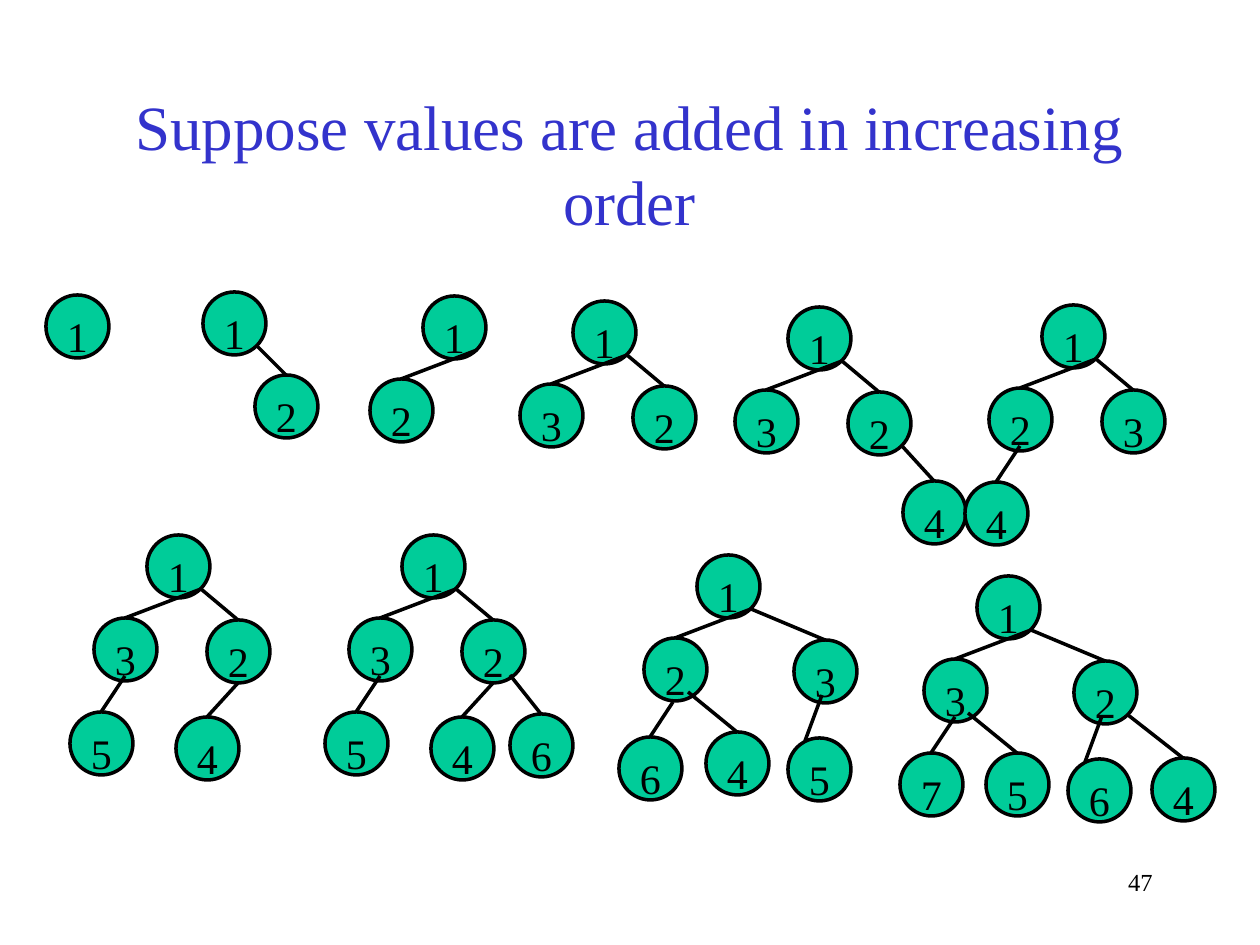
from dataclasses import dataclass

from lxml import etree
from pptx import Presentation
from pptx import util as u
from pptx.dml.color import RGBColor
from pptx.enum import shapes, text
from pptx.oxml import ns

EMU_PER_PX = 914400 / 126
DIAMETER = 63
FONT = "Times New Roman"
BLACK = "000000"
GREEN = "00CC99"
BLUE = "3333CC"

Point = tuple[int, int]


@dataclass(frozen=True)
class Branch:
    shift: Point
    leave: Point = (54, 54)
    arrive: Point = (31, 0)


@dataclass(frozen=True)
class Node:
    value: int
    children: tuple[tuple[Branch, "Node"], ...] = ()


@dataclass(frozen=True)
class Tree:
    corner: Point
    root: Node


LEFT = Branch((-53, 83))
RIGHT = Branch((60, 85))
WIDE_RIGHT = Branch((97, 85))
LONE_RIGHT = Branch((52, 83))
OUTER_LEFT = Branch((-24, 94), (31, 58))
LOW_LEFT = Branch((-25, 99), (29, 64))
INNER_RIGHT = Branch((62, 94), (44, 54))
INNER_LEFT = Branch((-31, 97), (31, 63))
NEAR_LEFT = Branch((-6, 98), (28, 55), (17, 3))
NEAR_RIGHT = Branch((48, 94), (48, 55))
STEEP_RIGHT = Branch((55, 89))
OUTER_RIGHT = Branch((78, 97))

LEFT_FIVE = (LEFT, Node(3, ((OUTER_LEFT, Node(5)),)))
LEFT_FOUR = (INNER_LEFT, Node(4))

TREES = [
    Tree((46, 295), Node(1)),
    Tree((203, 292), Node(1, ((LONE_RIGHT, Node(2)),))),
    Tree((423, 296), Node(1, ((LEFT, Node(2)),))),
    Tree((573, 301), Node(1, ((LEFT, Node(3)), (RIGHT, Node(2))))),
    Tree((788, 307), Node(1, (
        (LEFT, Node(3)),
        (RIGHT, Node(2, ((STEEP_RIGHT, Node(4)),)))))),
    Tree((1042, 305), Node(1, (
        (LEFT, Node(2, ((OUTER_LEFT, Node(4)),))),
        (RIGHT, Node(3))))),
    Tree((147, 535), Node(1, (
        LEFT_FIVE,
        (RIGHT, Node(2, (LEFT_FOUR,)))))),
    Tree((402, 535), Node(1, (
        LEFT_FIVE,
        (RIGHT, Node(2, (LEFT_FOUR, (NEAR_RIGHT, Node(6)))))))),
    Tree((697, 555), Node(1, (
        (LEFT, Node(2, ((LOW_LEFT, Node(6)), (INNER_RIGHT, Node(4))))),
        (WIDE_RIGHT, Node(3, ((NEAR_LEFT, Node(5)),)))))),
    Tree((977, 576), Node(1, (
        (LEFT, Node(3, ((OUTER_LEFT, Node(7)), (INNER_RIGHT, Node(5))))),
        (WIDE_RIGHT, Node(2, ((NEAR_LEFT, Node(6)), (OUTER_RIGHT, Node(4)))))))),
]


def px(length: int) -> u.Emu:
    return u.Emu(round(length * EMU_PER_PX))


def color(value: str) -> RGBColor:
    return RGBColor.from_string(value)


def add(start: Point, shift: Point) -> Point:
    return start[0] + shift[0], start[1] + shift[1]


def write(frame, words: str, size: int, hue: str, align) -> None:
    frame.text = words
    para = frame.paragraphs[0]
    para.alignment = align
    para.font.name = FONT
    para.font.size = u.Pt(size)
    para.font.color.rgb = color(hue)


def draw_circle(page, corner: Point, value: int) -> None:
    circle = page.shapes.add_shape(
        shapes.MSO_SHAPE.OVAL, px(corner[0]), px(corner[1]), px(DIAMETER), px(DIAMETER))
    circle.shadow.inherit = False
    circle.fill.solid()
    circle.fill.fore_color.rgb = color(GREEN)
    circle.line.color.rgb = color(BLACK)
    circle.line.width = u.Pt(2)
    frame = circle.text_frame
    frame.word_wrap = False
    frame.vertical_anchor = text.MSO_ANCHOR.TOP
    write(frame, str(value), 24, BLACK, text.PP_ALIGN.CENTER)


def draw_edge(page, start: Point, end: Point) -> None:
    edge = page.shapes.add_connector(
        shapes.MSO_CONNECTOR.STRAIGHT, *(px(length) for length in start + end))
    edge.line.color.rgb = color(BLACK)
    edge.line.width = u.Pt(2)
    etree.SubElement(edge._element.spPr, ns.qn("a:effectLst"))


def draw_node(page, node: Node, corner: Point) -> None:
    draw_circle(page, corner, node.value)
    for branch, child in node.children:
        child_corner = add(corner, branch.shift)
        draw_node(page, child, child_corner)
        draw_edge(page, add(corner, branch.leave), add(child_corner, branch.arrive))


def draw_title(page) -> None:
    title = page.shapes.title
    title.left, title.top, title.width, title.height = map(px, (94, 84, 1071, 158))
    frame = title.text_frame
    frame.auto_size = text.MSO_AUTO_SIZE.NONE
    frame.vertical_anchor = text.MSO_ANCHOR.MIDDLE
    write(frame, "Suppose values are added in increasing order", 36, BLUE,
          text.PP_ALIGN.CENTER)


def draw_page_number(page) -> None:
    box = page.shapes.add_textbox(*map(px, (903, 861, 262, 63)))
    box.text_frame.word_wrap = True
    write(box.text_frame, "47", 14, BLACK, text.PP_ALIGN.RIGHT)


def main() -> None:
    deck = Presentation()
    deck.slide_width, deck.slide_height = px(1260), px(945)
    page = deck.slides.add_slide(deck.slide_layouts[5])
    draw_title(page)
    draw_page_number(page)
    for tree in TREES:
        draw_node(page, tree.root, tree.corner)
    deck.save("out.pptx")


if __name__ == "__main__":
    main()
